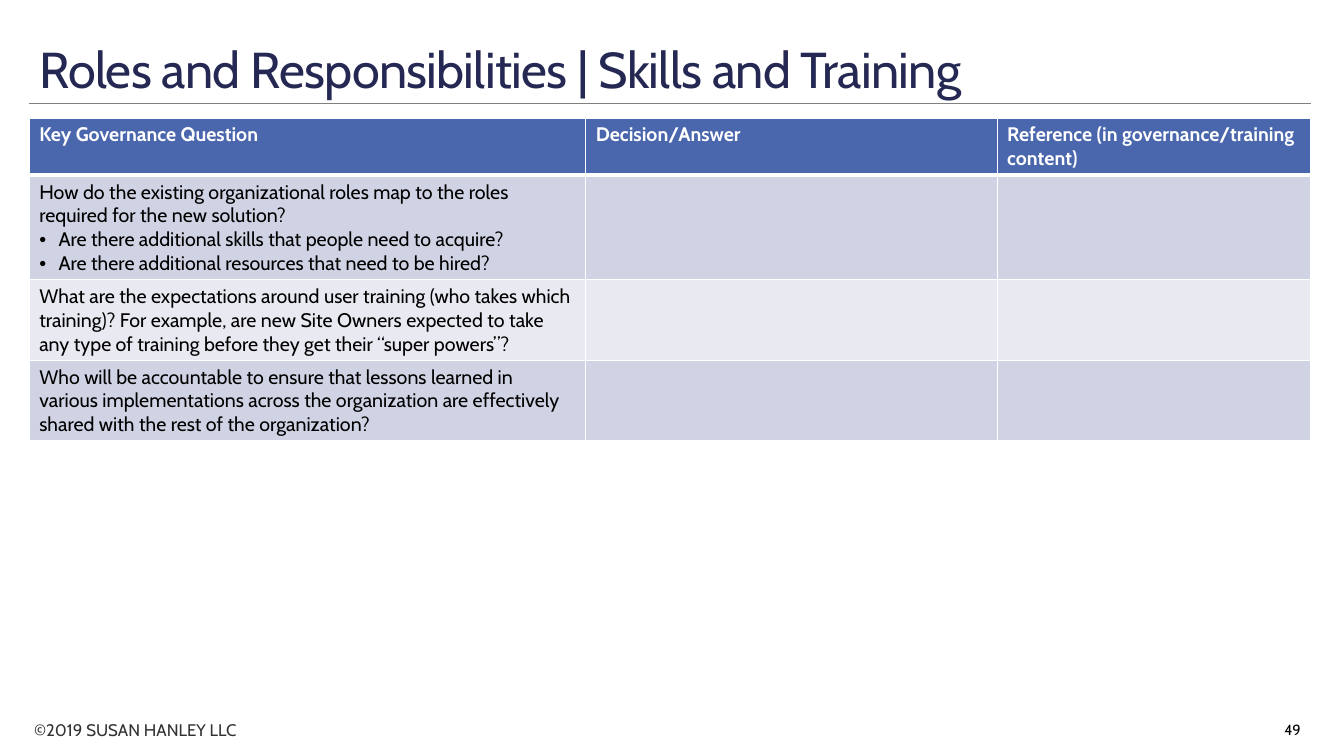
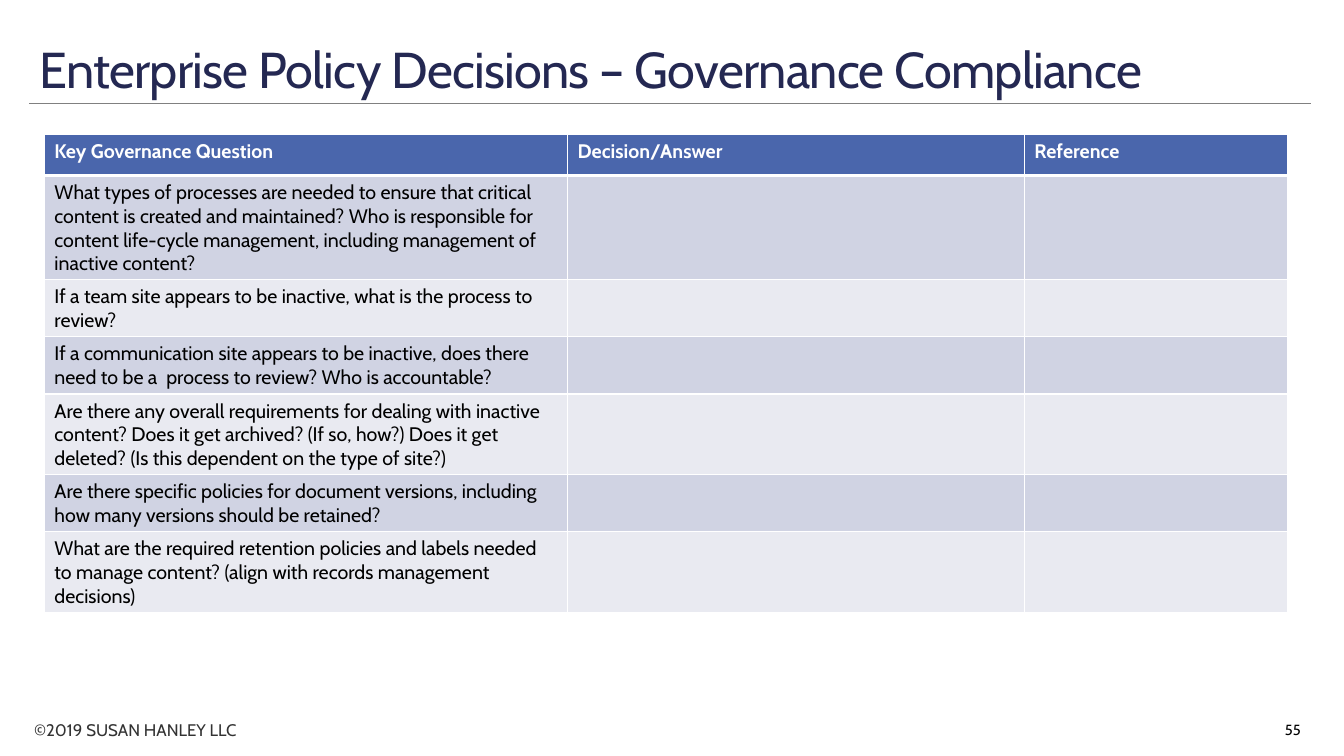
from dataclasses import dataclass

from lxml.etree import SubElement
from pptx import Presentation
from pptx.dml.color import RGBColor
from pptx.enum.shapes import MSO_CONNECTOR
from pptx.enum.text import MSO_ANCHOR, MSO_AUTO_SIZE, PP_ALIGN
from pptx.oxml.ns import qn
from pptx.slide import Slide
from pptx.table import _Cell as Cell
from pptx.text.text import TextFrame, _Paragraph as Paragraph
from pptx.util import Inches, Pt

FONT = "Cabin"
COLORS = {
    "title": "242852",
    "rule": "808080",
    "footer": "333333",
    "text": "000000",
    "white": "FFFFFF",
    "header": "4A66AC",
    "odd_row": "D0D3E3",
    "even_row": "E9EAF1",
}
COPYRIGHT = "©2019 SUSAN HANLEY LLC"
LEFT, RIGHT = 0.29, 13.0
RULE_TOP = 1.03
BULLET_INDENT = 0.19
LINE_HEIGHT, CELL_PADDING, MIN_ROW_HEIGHT = 0.23, 0.1, 0.41


@dataclass(frozen=True)
class Question:
    text: str
    lines: int
    bullets: tuple[str, ...] = ()


@dataclass(frozen=True)
class QuestionSlide:
    title: str
    number: int
    left: float
    top: float
    widths: tuple[float, ...]
    reference_heading: str
    header_lines: int
    questions: tuple[Question, ...]


SLIDES = (
    QuestionSlide(
        title="Roles and Responsibilities | Skills and Training",
        number=49,
        left=LEFT,
        top=1.17,
        widths=(5.52, 4.08, 3.11),
        reference_heading="Reference (in governance/training content)",
        header_lines=2,
        questions=(
            Question(
                "How do the existing organizational roles map to the roles "
                "required for the new solution?",
                4,
                (
                    "Are there additional skills that people need to acquire?",
                    "Are there additional resources that need to be hired?",
                ),
            ),
            Question(
                "What are the expectations around user training (who takes which "
                "training)? For example, are new Site Owners expected to take "
                "any type of training before they get their “super powers”?",
                3,
            ),
            Question(
                "Who will be accountable to ensure that lessons learned in "
                "various implementations across the organization are effectively "
                "shared with the rest of the organization?",
                3,
            ),
        ),
    ),
    QuestionSlide(
        title="Enterprise Policy Decisions – Governance Compliance",
        number=55,
        left=0.44,
        top=1.33,
        widths=(5.19, 4.53, 2.61),
        reference_heading="Reference",
        header_lines=1,
        questions=(
            Question(
                "What types of processes are needed to ensure that critical "
                "content is created and maintained? Who is responsible for "
                "content life-cycle management, including management of "
                "inactive content?",
                4,
            ),
            Question(
                "If a team site appears to be inactive, what is the process to "
                "review?",
                2,
            ),
            Question(
                "If a communication site appears to be inactive, does there "
                "need to be a  process to review? Who is accountable?",
                2,
            ),
            Question(
                "Are there any overall requirements for dealing with inactive "
                "content? Does it get archived? (If so, how?) Does it get "
                "deleted? (Is this dependent on the type of site?)",
                3,
            ),
            Question(
                "Are there specific policies for document versions, including "
                "how many versions should be retained?",
                2,
            ),
            Question(
                "What are the required retention policies and labels needed "
                "to manage content? (align with records management "
                "decisions)",
                3,
            ),
        ),
    ),
)


def rgb(name: str) -> RGBColor:
    return RGBColor.from_string(COLORS[name])


def write(
    paragraph: Paragraph,
    text: str,
    *,
    size: float = 14,
    color: str = "text",
    bold: bool = False,
    align: PP_ALIGN = PP_ALIGN.LEFT,
    spacing: float | None = None,
    tracking: float = 0,
    bullet: bool = False,
) -> None:
    """Fill a paragraph with one formatted run; tracking is in points."""
    if bullet:
        properties = paragraph._p.get_or_add_pPr()
        properties.set("marL", str(Inches(BULLET_INDENT)))
        properties.set("indent", str(-Inches(BULLET_INDENT)))
        SubElement(properties, qn("a:buFont"), typeface="Arial")
        SubElement(properties, qn("a:buChar"), char="•")
    paragraph.alignment = align
    if spacing:
        paragraph.line_spacing = spacing
    run = paragraph.add_run()
    run.text = text
    run.font.name = FONT
    run.font.size = Pt(size)
    run.font.bold = bold
    run.font.color.rgb = rgb(color)
    if tracking:
        run._r.get_or_add_rPr().set("spc", str(round(tracking * 100)))


def add_text_box(
    slide: Slide, left: float, top: float, width: float, height: float
) -> TextFrame:
    box = slide.shapes.add_textbox(
        Inches(left), Inches(top), Inches(width), Inches(height)
    )
    box.text_frame.word_wrap = True
    return box.text_frame


def add_frame(slide: Slide, title: str, number: int) -> None:
    """Add what every slide shares: rule, copyright, title and number."""
    rule = slide.shapes.add_connector(
        MSO_CONNECTOR.STRAIGHT,
        Inches(LEFT), Inches(RULE_TOP), Inches(RIGHT), Inches(RULE_TOP),
    )
    rule.line.color.rgb = rgb("rule")
    rule.line.width = Pt(0.5)
    SubElement(rule._element.spPr, qn("a:effectLst"))

    footer = add_text_box(slide, 0.24, 7.09, 2.81, 0.3)
    write(footer.paragraphs[0], COPYRIGHT, size=12, color="footer")

    shape = slide.shapes.title
    shape.left, shape.top = Inches(LEFT), Inches(0.19)
    shape.width, shape.height = Inches(RIGHT - LEFT), Inches(0.84)
    shape.text_frame.auto_size = MSO_AUTO_SIZE.NONE
    shape.text_frame.vertical_anchor = MSO_ANCHOR.BOTTOM
    write(
        shape.text_frame.paragraphs[0], title,
        size=36, color="title", spacing=0.85, tracking=-0.5,
    )

    page = add_text_box(slide, 11.57, 7.04, 1.43, 0.4)
    page.vertical_anchor = MSO_ANCHOR.MIDDLE
    write(page.paragraphs[0], str(number), size=10.5, align=PP_ALIGN.RIGHT)


def style_cell(cell: Cell, row: int) -> None:
    """Set white borders, thick under the header, and the row's fill."""
    properties = cell._tc.get_or_add_tcPr()
    thick_edge = {0: "lnB", 1: "lnT"}.get(row)
    for edge in ("lnL", "lnR", "lnT", "lnB"):
        width = Pt(3 if edge == thick_edge else 1)
        line = SubElement(properties, qn(f"a:{edge}"), w=str(width))
        fill = SubElement(line, qn("a:solidFill"))
        SubElement(fill, qn("a:srgbClr"), val=COLORS["white"])
    cell.fill.solid()
    band = "odd_row" if row % 2 else "even_row"
    cell.fill.fore_color.rgb = rgb(band if row else "header")


def row_height(lines: int) -> float:
    return max(MIN_ROW_HEIGHT, lines * LINE_HEIGHT + CELL_PADDING)


def add_question_table(slide: Slide, content: QuestionSlide) -> None:
    questions = content.questions
    line_counts = [content.header_lines, *(item.lines for item in questions)]
    heights = [row_height(lines) for lines in line_counts]
    table = slide.shapes.add_table(
        len(heights), len(content.widths),
        Inches(content.left), Inches(content.top),
        Inches(sum(content.widths)), Inches(sum(heights)),
    ).table
    table.horz_banding = False
    for column, width in zip(table.columns, content.widths):
        column.width = Inches(width)
    for index, (row, height) in enumerate(zip(table.rows, heights)):
        row.height = Inches(height)
        for cell in row.cells:
            style_cell(cell, index)

    headings = (
        "Key Governance Question", "Decision/Answer", content.reference_heading
    )
    for cell, heading in zip(table.rows[0].cells, headings):
        write(cell.text_frame.paragraphs[0], heading, color="white", bold=True)
    for index, question in enumerate(questions, start=1):
        text_frame = table.cell(index, 0).text_frame
        write(text_frame.paragraphs[0], question.text)
        for bullet in question.bullets:
            write(text_frame.add_paragraph(), bullet, bullet=True)


def main() -> None:
    presentation = Presentation()
    presentation.slide_width = Inches(13.33)
    presentation.slide_height = Inches(7.5)
    title_only = presentation.slide_layouts[5]
    for content in SLIDES:
        slide = presentation.slides.add_slide(title_only)
        add_frame(slide, content.title, content.number)
        add_question_table(slide, content)
    presentation.save("out.pptx")


if __name__ == "__main__":
    main()
